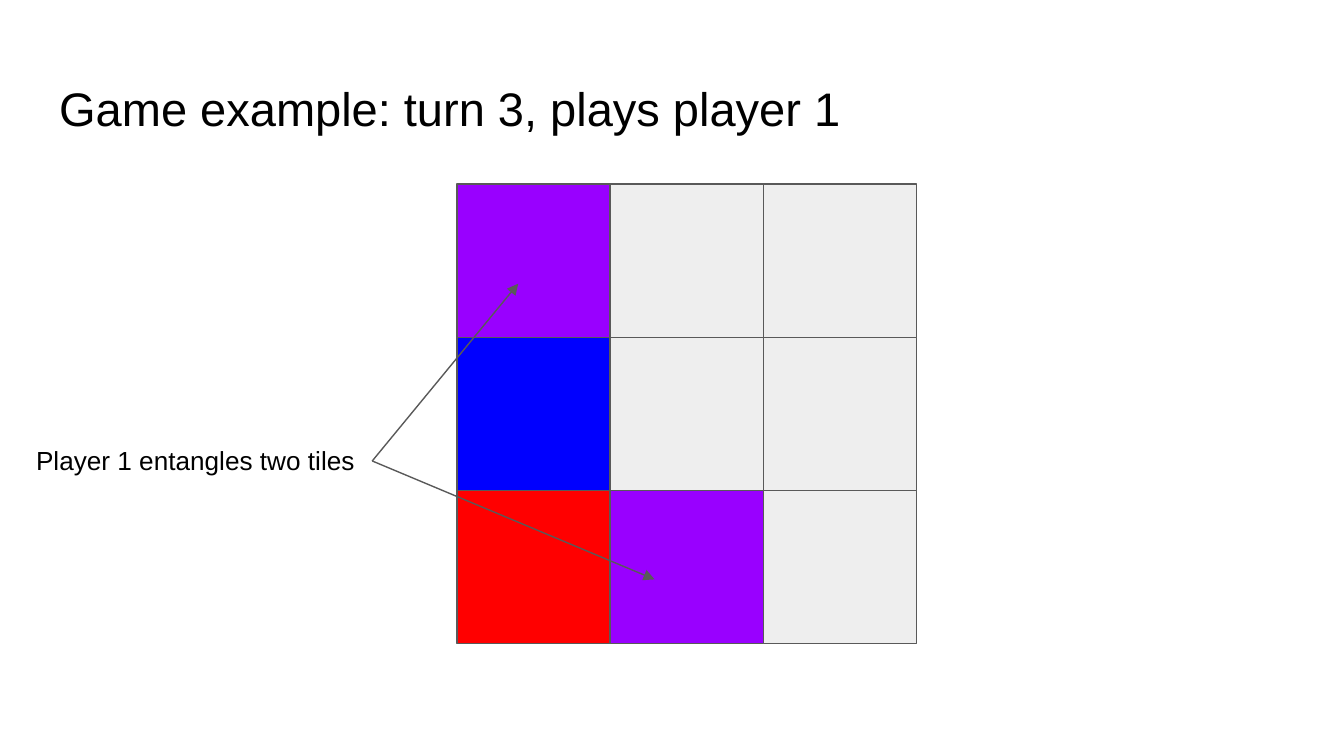
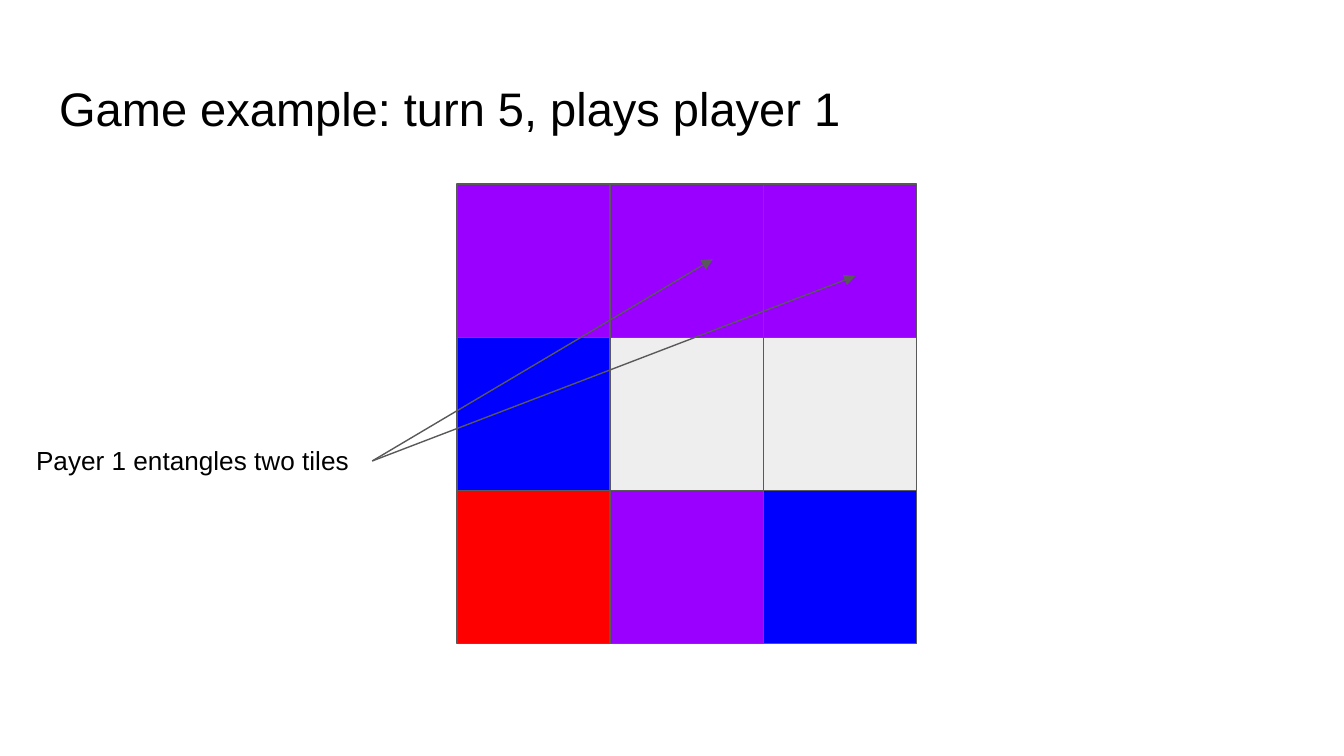
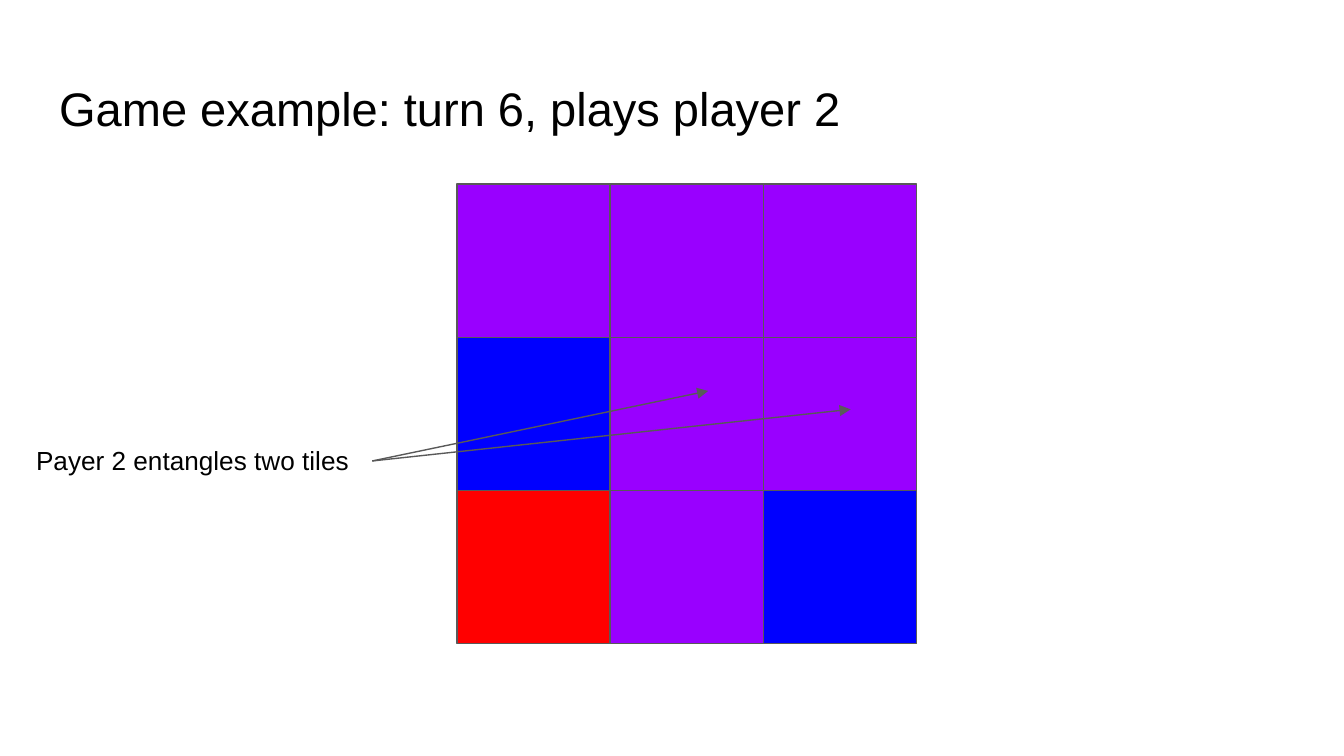
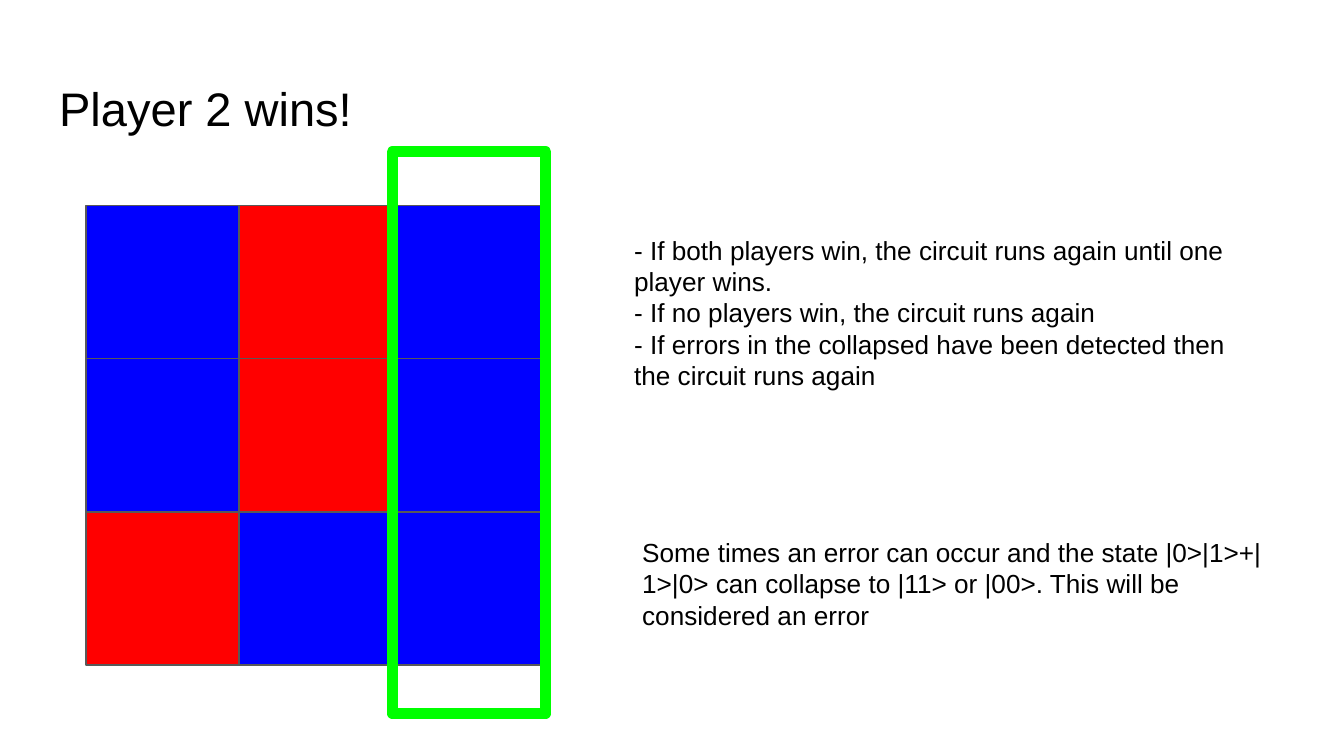
from lxml.etree import SubElement
from pptx import Presentation
from pptx.dml.color import RGBColor
from pptx.enum.shapes import MSO_CONNECTOR, MSO_SHAPE
from pptx.enum.text import MSO_ANCHOR, MSO_AUTO_SIZE, PP_ALIGN
from pptx.oxml.ns import qn
from pptx.util import Inches, Pt

FONT = "Arial"
BLACK = RGBColor(0x00, 0x00, 0x00)
GREY = RGBColor(0x59, 0x59, 0x59)
GREEN = RGBColor(0x00, 0xFF, 0x00)
TILES = {
    "R": RGBColor(0xFF, 0x00, 0x00),
    "B": RGBColor(0x00, 0x00, 0xFF),
    "P": RGBColor(0x99, 0x00, 0xFF),
    ".": RGBColor(0xEE, 0xEE, 0xEE),
}

WIDE = 10
HIGH = WIDE * 9 / 16
EDGE = 0.34
TILE = 1.14
PAD = 0.1
MID = (3.4, 1.37)    # board corner on the turn slides
LEFT = (0.64, 1.53)  # board corner on the last slide
NOTE = (0.17, 3.21, 2.6, 0.44)

# Each turn: title, board rows, note, arrow ends in tile units
TURNS = [
    ("Game example: turn 3, plays player 1", ("P..", "B..", "RP."),
     "Player 1 entangles two tiles", [(1.29, 2.58), (0.4, 0.65)]),
    ("Game example: turn 5, plays player 1", ("PPP", "B..", "RPB"),
     "Payer 1 entangles two tiles", [(2.6, 0.6), (1.67, 0.49)]),
    ("Game example: turn 6, plays player 2", ("PPP", "BPP", "RPB"),
     "Payer 2 entangles two tiles", [(2.57, 1.47), (1.64, 1.35)]),
]
END = ("BRB", "BRB", "RBB")
RULES = [
    "- If both players win, the circuit runs again until one player wins.",
    "- If no players win, the circuit runs again",
    "- If errors in the collapsed have been detected then the circuit runs again",
]
ERROR = ("Some times an error can occur and the state |0>|1>+|1>|0> can "
         "collapse to |11> or |00>. This will be considered an error")


def fill_text(shape, lines, size):
    frame = shape.text_frame
    frame.word_wrap = True
    frame.auto_size = MSO_AUTO_SIZE.NONE
    frame.vertical_anchor = MSO_ANCHOR.TOP
    frame.margin_left = frame.margin_right = Inches(PAD)
    frame.margin_top = frame.margin_bottom = Inches(PAD)
    for num, line in enumerate(lines):
        para = frame.add_paragraph() if num else frame.paragraphs[0]
        para.alignment = PP_ALIGN.LEFT
        para.line_spacing = 1.0
        run = para.add_run()
        run.text = line
        run.font.name = FONT
        run.font.size = Pt(size)
        run.font.color.rgb = BLACK


def add_page(deck, title):
    page = deck.slides.add_slide(deck.slide_layouts[5])
    head = page.shapes.title
    head.left, head.top = Inches(EDGE), Inches(0.49)
    head.width, head.height = Inches(WIDE - 2 * EDGE), Inches(0.63)
    fill_text(head, [title], 25.2)
    return page


def add_note(page, box, lines):
    note = page.shapes.add_textbox(*map(Inches, box))
    fill_text(note, lines, 14)


def add_rect(page, box, fill, line, width):
    rect = page.shapes.add_shape(MSO_SHAPE.RECTANGLE, *map(Inches, box))
    rect.shadow.inherit = False
    if fill is None:
        rect.fill.background()
    else:
        rect.fill.solid()
        rect.fill.fore_color.rgb = fill
    rect.line.color.rgb = line
    rect.line.width = Pt(width)


def spot(corner, col, row):
    return corner[0] + col * TILE, corner[1] + row * TILE


def add_board(page, corner, rows):
    # Bottom row first, so that upper tiles overlap lower ones
    for row in reversed(range(len(rows))):
        for col, code in enumerate(rows[row]):
            box = (*spot(corner, col, row), TILE, TILE)
            add_rect(page, box, TILES[code], GREY, 0.75)


def add_arrow(page, start, end):
    arrow = page.shapes.add_connector(
        MSO_CONNECTOR.STRAIGHT, *map(Inches, (*start, *end)))
    arrow.line.color.rgb = GREY
    arrow.line.width = Pt(0.75)
    props = arrow._element.spPr
    SubElement(props.find(qn("a:ln")), qn("a:tailEnd"), type="triangle")
    SubElement(props, qn("a:effectLst"))


def add_turn(deck, title, rows, text, ends):
    page = add_page(deck, title)
    add_board(page, MID, rows)
    add_note(page, NOTE, [text])
    left, top, width, height = NOTE
    for end in ends:
        add_arrow(page, (left + width, top + height / 2), spot(MID, *end))


def add_win(deck):
    page = add_page(deck, "Player 2 wins!")
    add_board(page, LEFT, END)
    # Frame around the winning column
    left, top = spot(LEFT, 2, 0)
    add_rect(page, (left, top - 0.4, TILE, 4.18), None, GREEN, 6)
    add_note(page, (4.62, 1.64, 4.87, 1.62), RULES)
    add_note(page, (4.68, 3.89, 4.87, 1.14), [ERROR])


def main():
    deck = Presentation()
    deck.slide_width, deck.slide_height = Inches(WIDE), Inches(HIGH)
    for turn in TURNS:
        add_turn(deck, *turn)
    add_win(deck)
    deck.save("out.pptx")


if __name__ == "__main__":
    main()
